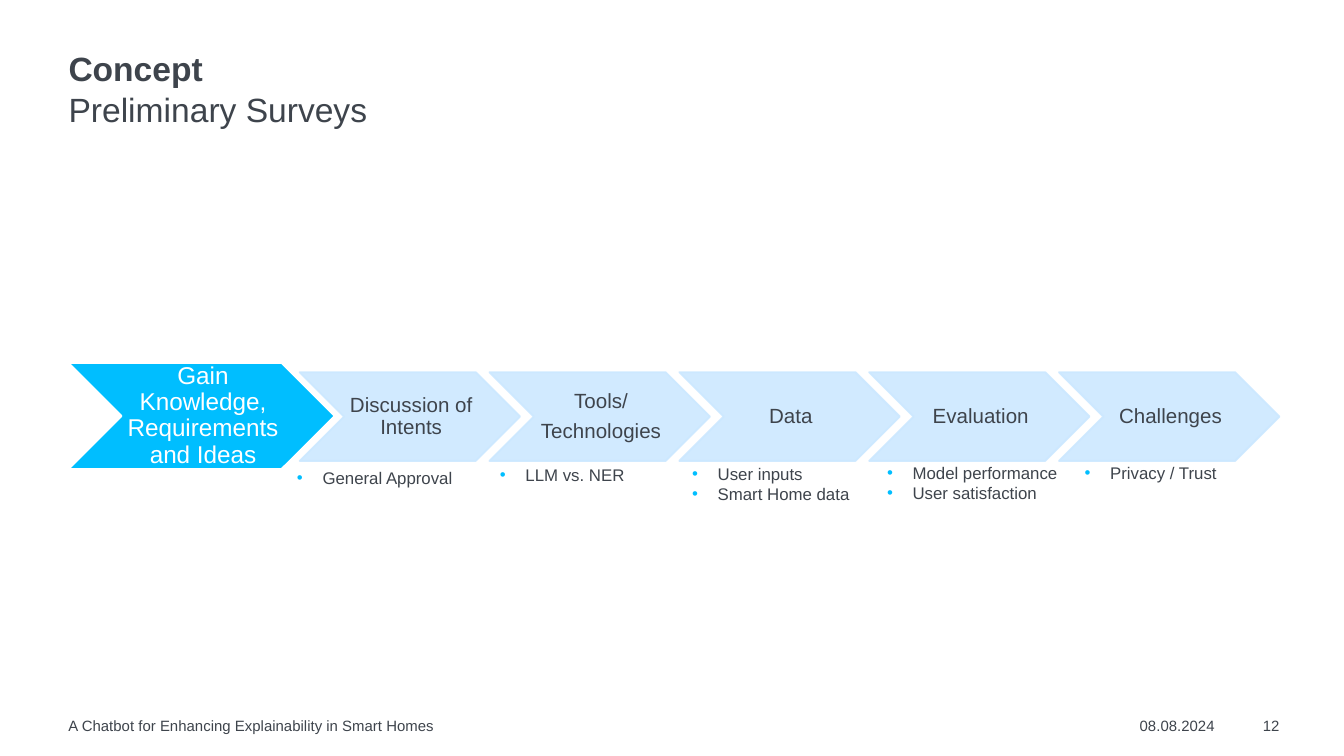
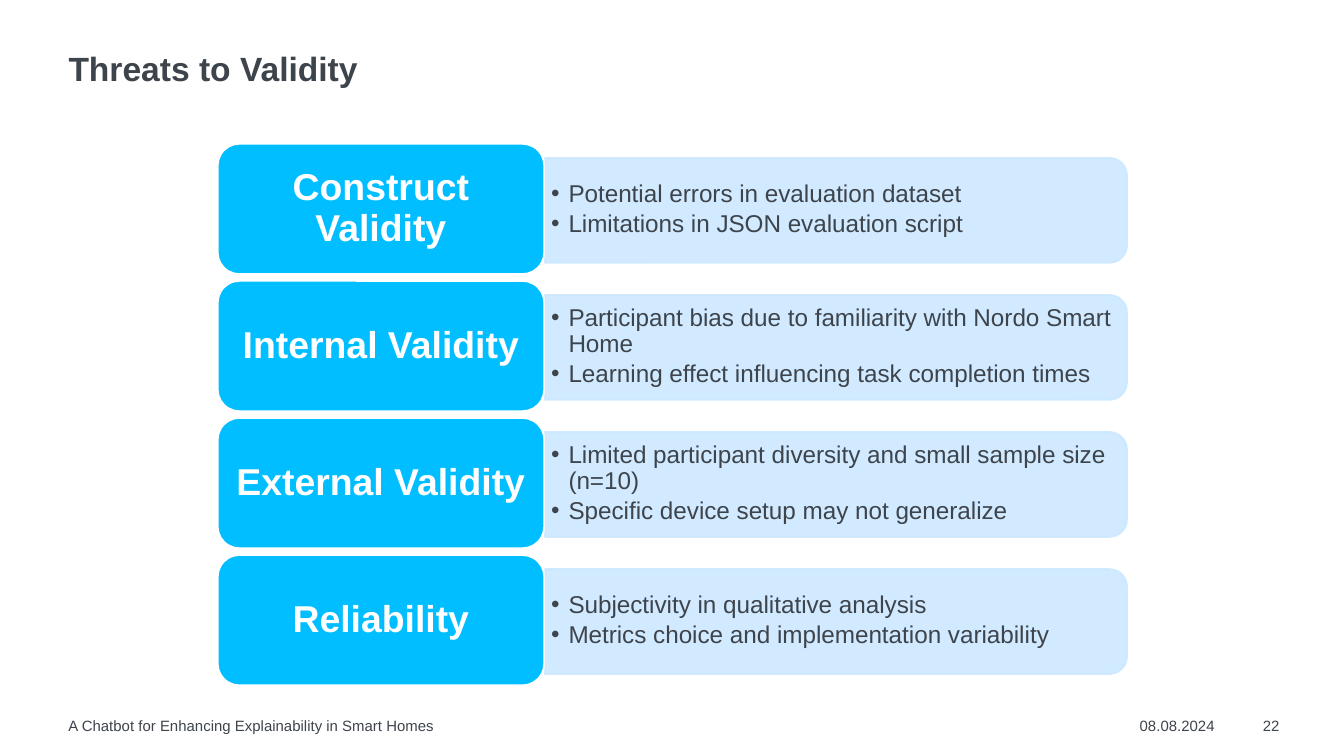
from lxml.etree import SubElement
from pptx import Presentation
from pptx.dml.color import RGBColor
from pptx.enum.shapes import MSO_SHAPE
from pptx.enum.text import MSO_ANCHOR, PP_ALIGN
from pptx.oxml.ns import qn
from pptx.util import Inches, Pt

COLORS = {"text": "3E444C", "accent": "00BEFF", "pale": "CCE8FF", "white": "FFFFFF"}
FONT = "Arial"
FOOTER = "A Chatbot for Enhancing Explainability in Smart Homes"
DATE = "08.08.2024"


def write(shape, lines, size, color="text", bold=False, align=PP_ALIGN.LEFT, anchor=MSO_ANCHOR.TOP,
          margins=(0, 0, 0, 0), spacing=1.0, gap=0, bullet=None, indent=0):
    """Fill a shape with one paragraph per line; bullet names the bullet colour."""
    frame = shape.text_frame
    frame.word_wrap = True
    frame.vertical_anchor = anchor
    frame.margin_left, frame.margin_top, frame.margin_right, frame.margin_bottom = map(Inches, margins)
    for index, line in enumerate(lines):
        paragraph = frame.add_paragraph() if index else frame.paragraphs[0]
        paragraph.alignment = align
        paragraph.line_spacing = spacing
        if index and gap:
            paragraph.space_before = Pt(gap)
        if bullet:
            properties = paragraph._p.get_or_add_pPr()
            properties.set("marL", str(Inches(indent)))
            properties.set("indent", str(-Inches(indent)))
            bullet_color = SubElement(properties, qn("a:buClr"))
            SubElement(bullet_color, qn("a:srgbClr"), val=COLORS[bullet])
            SubElement(properties, qn("a:buFont"), typeface=FONT)
            SubElement(properties, qn("a:buChar"), char="•")
        run = paragraph.add_run()
        run.text = line
        run.font.name = FONT
        run.font.size = Pt(size)
        run.font.bold = bold
        run.font.color.rgb = RGBColor.from_string(COLORS[color])


def add_block(slide, kind, box, fill, line):
    """Add a preset shape; pale parts are slightly transparent."""
    shape = slide.shapes.add_shape(kind, *map(Inches, box))
    shape.shadow.inherit = False
    shape.fill.solid()
    shape.line.width = Pt(1)
    for part, name in ((shape.fill.fore_color, fill), (shape.line.color, line)):
        part.rgb = RGBColor.from_string(COLORS[name])
    if fill == "pale":
        for color in shape._element.spPr.iter(qn("a:srgbClr")):
            SubElement(color, qn("a:alpha"), val="90000")
    return shape


# Widescreen 16:9
presentation = Presentation()
presentation.slide_width = Inches(10)
presentation.slide_height = Inches(10 * 9 / 16)

# Titles and footers
slides = []
for title, number in (("Concept", "12"), ("Threats to Validity", "22")):
    slide = presentation.slides.add_slide(presentation.slide_layouts[5])
    slides.append(slide)
    heading = slide.shapes.title
    heading.left, heading.top, heading.width, heading.height = map(Inches, (0.51, 0.39, 9.02, 0.47))
    write(heading, [title], 18, bold=True, spacing=0.9)
    for text, left, width, align in ((number, 9.28, 0.24, PP_ALIGN.RIGHT),
                                     (DATE, 8.48, 0.58, PP_ALIGN.LEFT),
                                     (FOOTER, 0.51, 6.63, PP_ALIGN.LEFT)):
        footer = slide.shapes.add_textbox(Inches(left), Inches(5.33), Inches(width), Inches(0.13))
        write(footer, [text], 8, align=align)
concept, threats = slides

# Concept: subtitle
subtitle = concept.shapes.add_textbox(Inches(0.51), Inches(0.6), Inches(9.02), Inches(0.27))
write(subtitle, ["Preliminary Surveys"], 18, spacing=1.2)

# Concept: chevron chain, labels inside
chevron_text = {"align": PP_ALIGN.CENTER, "anchor": MSO_ANCHOR.MIDDLE,
                "margins": (0.02, 0.01, 0, 0.01), "spacing": 0.9, "gap": 4}
goal = add_block(concept, MSO_SHAPE.CHEVRON, (0.51, 2.7, 1.98, 0.79), "accent", "white")
write(goal, ["Gain Knowledge, Requirements and Ideas"], 13, "white", **chevron_text)
steps = [["Discussion of Intents"], ["Tools/", "Technologies"], ["Data"], ["Evaluation"], ["Challenges"]]
step_pitch = 5.65 / 4
for index, label in enumerate(steps):
    step = add_block(concept, MSO_SHAPE.CHEVRON, (2.23 + step_pitch * index, 2.77, 1.64, 0.66), "pale", "pale")
    write(step, label, 11, **chevron_text)

# Concept: notes below the chevrons
step_notes = [
    (2.21, 3.45, 1.24, 1.2, ["General Approval"]),
    (3.72, 3.43, 1.24, 1.2, ["LLM vs. NER"]),
    (5.15, 3.45, 1.24, 1.0, ["User inputs", "Smart Home data"]),
    (6.6, 3.44, 1.32, 1.0, ["Model performance", "User satisfaction"]),
    (8.07, 3.44, 1.32, 1.0, ["Privacy / Trust"]),
]
for left, top, width, spacing, lines in step_notes:
    note = concept.shapes.add_textbox(Inches(left), Inches(top), Inches(width), Inches(0.15 * len(lines)))
    write(note, lines, 9, spacing=spacing, bullet="accent", indent=0.19)

# Threats: one row per kind of validity
validity_rows = [
    ("Construct Validity", ["Potential errors in evaluation dataset",
                            "Limitations in JSON evaluation script"]),
    ("Internal Validity", ["Participant bias due to familiarity with Nordo Smart Home",
                           "Learning effect influencing task completion times"]),
    ("External Validity", ["Limited participant diversity and small sample size (n=10)",
                           "Specific device setup may not generalize"]),
    ("Reliability", ["Subjectivity in qualitative analysis",
                     "Metrics choice and implementation variability"]),
]
for index, (name, points) in enumerate(validity_rows):
    top = 1.07 + 1.02 * index
    panel = add_block(threats, MSO_SHAPE.ROUND_2_SAME_RECTANGLE, (5.83, top - 1.67, 0.78, 4.33), "pale", "pale")
    panel.rotation = 90
    details = threats.shapes.add_textbox(Inches(4.05), Inches(top + 0.14), Inches(4.29), Inches(0.7))
    write(details, points, 13, anchor=MSO_ANCHOR.MIDDLE, margins=(0.05, 0.03, 0.05, 0.03),
          spacing=0.9, gap=2, bullet="text", indent=0.13)
    label = add_block(threats, MSO_SHAPE.ROUNDED_RECTANGLE, (1.62, top, 2.43, 0.97), "accent", "white")
    write(label, [name], 20, "white", bold=True, align=PP_ALIGN.CENTER, anchor=MSO_ANCHOR.MIDDLE,
          margins=(0.08, 0.04, 0.08, 0.04), spacing=0.9)

presentation.save("out.pptx")
